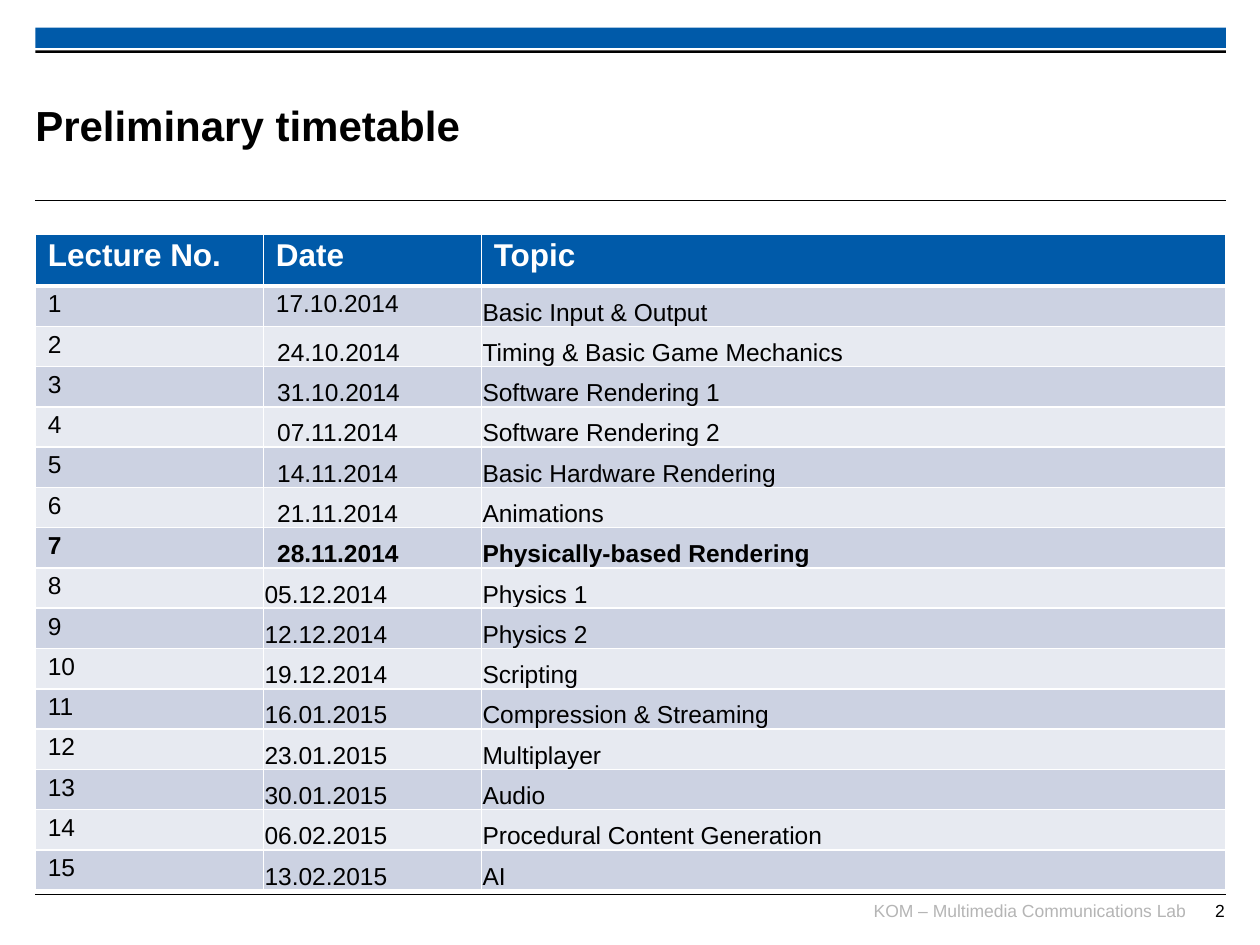
from lxml.etree import SubElement as Sub
from pptx import Presentation
from pptx.dml.color import RGBColor as Rgb
from pptx.enum.shapes import MSO_CONNECTOR as Conn, MSO_SHAPE as Shape
from pptx.enum.text import MSO_ANCHOR as Anchor, PP_ALIGN as Align
from pptx.oxml.ns import qn
from pptx.util import Inches, Pt

TITLE = "Preliminary timetable"
FOOTER = "KOM – Multimedia Communications Lab"
NUMBER = "2"
HEADS = ("Lecture No.", "Date", "Topic")
LECTURES = [
    ("17.10.2014", "Basic Input & Output"),
    ("24.10.2014", "Timing & Basic Game Mechanics"),
    ("31.10.2014", "Software Rendering 1"),
    ("07.11.2014", "Software Rendering 2"),
    ("14.11.2014", "Basic Hardware Rendering"),
    ("21.11.2014", "Animations"),
    ("28.11.2014", "Physically-based Rendering"),
    ("05.12.2014", "Physics 1"),
    ("12.12.2014", "Physics 2"),
    ("19.12.2014", "Scripting"),
    ("16.01.2015", "Compression & Streaming"),
    ("23.01.2015", "Multiplayer"),
    ("30.01.2015", "Audio"),
    ("06.02.2015", "Procedural Content Generation"),
    ("13.02.2015", "AI"),
]
TODAY = 7

THEME = {
    "font": "Arial", "blue": "005AA9", "ink": "000000", "paper": "FFFFFF",
    "grey": "B5B5B5", "bands": ("CCD2E2", "E7EAF1"),
    "title": 24, "head": 18, "body": 14, "foot": 10,
}
LEFT, WIDTH = 0.28, 9.45
COLS = (1.81, 1.73, 5.91)
HEAD_H, ROW_H = 0.41, 0.32
PAD = (0.1, 0.05, 0.1, 0.05)
TIGHT = (0.01, 0.01, 0.01, 0)
INDENT = (0.11, 0.01, 0.01, 0)


def put(frame, text, size="body", color="ink", bold=False,
        align=Align.LEFT, spacing=None):
    para = frame.paragraphs[0]
    para.alignment = align
    if spacing:
        para.line_spacing = spacing
    run = para.add_run()
    run.text = text
    font = run.font
    font.name, font.size, font.bold = THEME["font"], Pt(THEME[size]), bold
    font.color.rgb = Rgb.from_string(THEME[color])


def inset(box, sides):
    """Set the left, top, right and bottom margins of a frame or cell."""
    (box.margin_left, box.margin_top,
     box.margin_right, box.margin_bottom) = map(Inches, sides)


def bar(slide, top, height, color):
    box = slide.shapes.add_shape(Shape.RECTANGLE, Inches(LEFT), Inches(top),
                                 Inches(WIDTH), Inches(height))
    box.shadow.inherit = False
    box.fill.solid()
    box.fill.fore_color.rgb = Rgb.from_string(THEME[color])
    box.line.fill.background()


def rule(slide, y):
    line = slide.shapes.add_connector(
        Conn.STRAIGHT, Inches(LEFT), Inches(y), Inches(LEFT + WIDTH), Inches(y))
    line.line.width = Pt(0.6)
    line.line.color.rgb = Rgb.from_string(THEME["ink"])
    Sub(line._element.spPr, qn("a:effectLst"))


def note(slide, text, left, width, color):
    box = slide.shapes.add_textbox(Inches(left), Inches(7.14),
                                   Inches(width), Inches(0.24))
    frame = box.text_frame
    frame.word_wrap = True
    inset(frame, (0, 0, 0, 0))
    put(frame, text, size="foot", color=color, align=Align.RIGHT)


def paint(cell, fill, top, bottom):
    """Draw the cell borders in white, then its fill."""
    props = cell._tc.get_or_add_tcPr()
    for side, wide in (("L", 1), ("R", 1), ("T", top), ("B", bottom)):
        edge = Sub(props, qn("a:ln" + side), w=str(Pt(wide)))
        Sub(Sub(edge, qn("a:solidFill")), qn("a:srgbClr"), val=THEME["paper"])
    cell.fill.solid()
    cell.fill.fore_color.rgb = Rgb.from_string(fill)


def timetable(slide):
    rows = [HEADS] + [(str(n), *item) for n, item in enumerate(LECTURES, 1)]
    height = HEAD_H + ROW_H * len(LECTURES)
    table = slide.shapes.add_table(
        len(rows), len(COLS), Inches(LEFT), Inches(1.86),
        Inches(WIDTH), Inches(height)).table
    table.horz_banding = False
    for col, width in zip(table.columns, COLS):
        col.width = Inches(width)
    for r, row in enumerate(rows):
        head = r == 0
        table.rows[r].height = Inches(HEAD_H if head else ROW_H)
        fill = THEME["blue"] if head else THEME["bands"][(r - 1) % 2]
        for c, text in enumerate(row):
            cell = table.cell(r, c)
            low = not head and (c == 2 or c == 1 and r > 1)
            inset(cell, PAD if not low else
                  INDENT if c == 1 and r <= TODAY else TIGHT)
            cell.vertical_anchor = Anchor.BOTTOM if low else Anchor.TOP
            paint(cell, fill, 3 if r == 1 else 1, 3 if head else 1)
            put(cell.text_frame, text, size="head" if head else "body",
                color="paper" if head else "ink",
                bold=head or r == TODAY, spacing=0.93)


def main():
    deck = Presentation()
    deck.slide_width, deck.slide_height = Inches(10), Inches(7.5)
    slide = deck.slides.add_slide(deck.slide_layouts[5])

    bar(slide, 0.22, 0.16, "blue")
    bar(slide, 0.4, 0.02, "ink")
    rule(slide, 1.59)
    rule(slide, 7.1)
    note(slide, FOOTER, 6.81, 2.6, "grey")
    note(slide, NUMBER, 9.29, 0.43, "ink")

    title = slide.shapes.title
    title.left, title.top = Inches(LEFT), Inches(0.53)
    title.width, title.height = Inches(7.52), Inches(0.92)
    title.text_frame.vertical_anchor = Anchor.MIDDLE
    inset(title.text_frame, (0, 0, 0, 0))
    put(title.text_frame, TITLE, size="title", bold=True)

    timetable(slide)
    deck.save("out.pptx")


if __name__ == "__main__":
    main()
